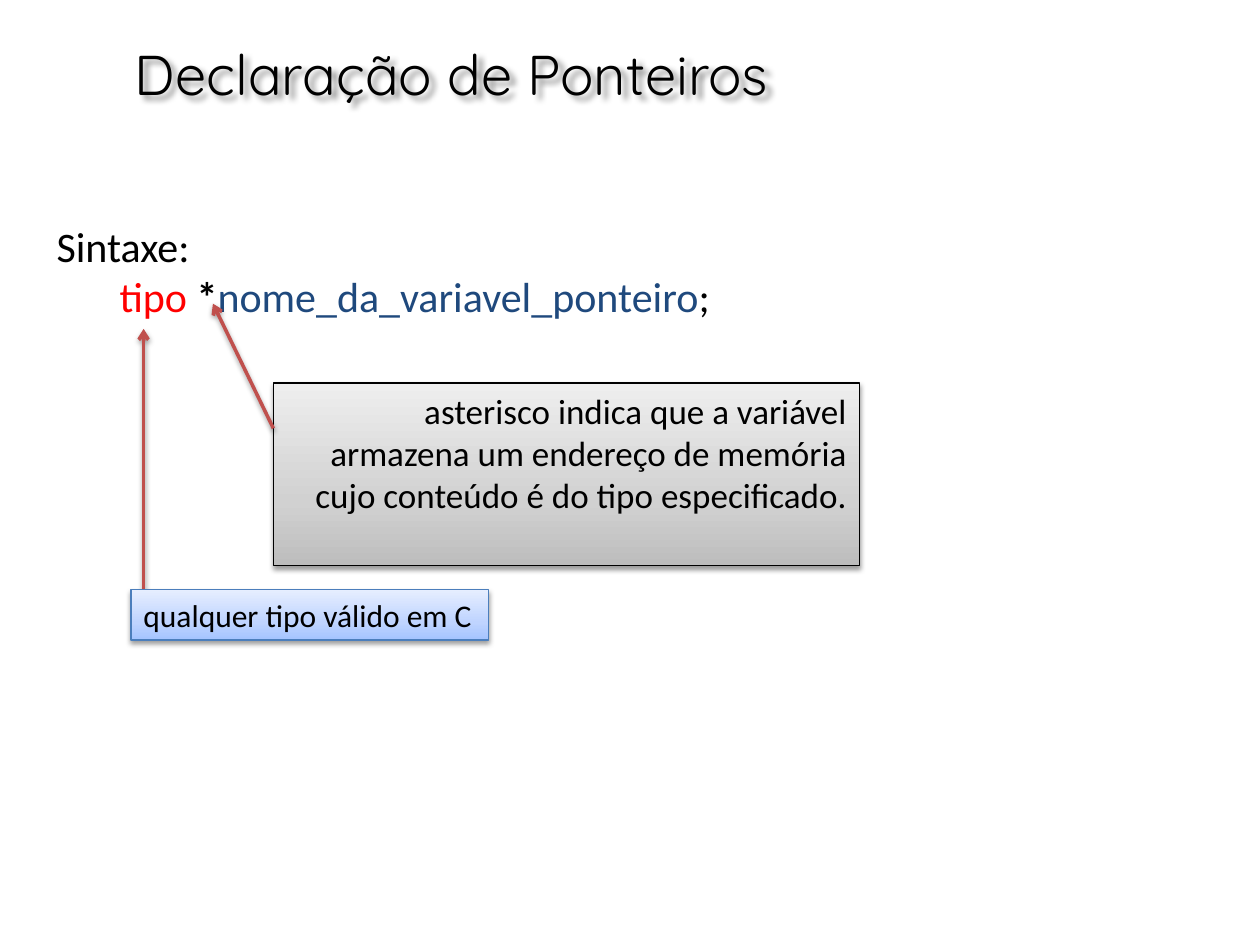
from lxml import etree
from pptx import Presentation
from pptx.dml.color import RGBColor
from pptx.enum.shapes import MSO_CONNECTOR, MSO_SHAPE
from pptx.enum.text import MSO_ANCHOR, PP_ALIGN
from pptx.oxml.ns import qn
from pptx.util import Inches, Pt

RECT = MSO_SHAPE.RECTANGLE
STRAIGHT = MSO_CONNECTOR.STRAIGHT
TOP, MIDDLE = MSO_ANCHOR.TOP, MSO_ANCHOR.MIDDLE
LEFT, CENTER, RIGHT = PP_ALIGN.LEFT, PP_ALIGN.CENTER, PP_ALIGN.RIGHT
COLORS = {"black": "000000", "type": "FF0000", "name": "1F497D",
          "arrow": "C0504D", "blue_line": "4B7EBC"}
GRAY = ((0, "BDBDBD"), (35, "D1D1D1"), (100, "EEEEEE"))
BLUE = ((0, "A4C4FF"), (35, "BFD4FF"), (100, "E6EEFF"))
SOFT = {"blur": 3.1, "dist": 1.6, "angle": 90, "alpha": 38}
TITLE_SHADOW = {"blur": 3, "dist": 3, "angle": 45, "alpha": 43}


class Slide:
    """Draws styled elements on a 100 by 75 grid of the current slide."""

    def __init__(self, prs):
        self.s = prs.slides.add_slide(prs.slide_layouts[6])
        self.unit = prs.slide_width / 100

    def grid(self, *cells):
        return [round(c * self.unit) for c in cells]

    def sub(self, parent, tag, **attrs):
        return etree.SubElement(parent, qn(tag), {k: str(v) for k, v in attrs.items()})

    def shadow(self, sp, blur, dist, angle, alpha):
        effects = self.sub(sp._element.spPr, "a:effectLst")
        outer = self.sub(effects, "a:outerShdw", blurRad=Pt(blur), dist=Pt(dist),
                         dir=angle * 60000, algn="ctr", rotWithShape=0)
        color = self.sub(outer, "a:srgbClr", val=COLORS["black"])
        self.sub(color, "a:alpha", val=alpha * 1000)

    def line(self, sp, color, width):
        sp.line.color.rgb = RGBColor.from_string(COLORS[color])
        sp.line.width = Pt(width)

    def fill_text(self, sp, paragraphs, size, font="Calibri", align=LEFT, anchor=TOP, wrap=True):
        tf = sp.text_frame
        for name, value in {"word_wrap": wrap, "vertical_anchor": anchor}.items():
            setattr(tf, name, value)
        for i, (indent, runs) in enumerate(paragraphs):
            p = tf.add_paragraph() if i else tf.paragraphs[0]
            p.alignment = align
            if indent:
                pPr = p._p.get_or_add_pPr()
                pPr.set("lvl", "1")
                pPr.set("marL", str(Inches(indent)))
                pPr.set("indent", "0")
            for text, color, bold in runs:
                r = p.add_run()
                r.text = text
                for name, value in {"size": Pt(size), "name": font, "bold": bold}.items():
                    setattr(r.font, name, value)
                r.font.color.rgb = RGBColor.from_string(COLORS[color])

    def text(self, at, paragraphs, size, **style):
        sp = self.s.shapes.add_textbox(*self.grid(*at))
        self.fill_text(sp, paragraphs, size, **style)
        return sp

    def box(self, at, stops, line, paragraphs, size, **style):
        sp = self.s.shapes.add_shape(RECT, *self.grid(*at))
        sp.fill.gradient()
        sp.fill.gradient_angle = 90
        stop_list = sp._element.spPr.find(".//" + qn("a:gsLst"))
        for stop in list(stop_list):
            stop_list.remove(stop)
        for pos, color in stops:
            stop = self.sub(stop_list, "a:gs", pos=pos * 1000)
            self.sub(stop, "a:srgbClr", val=color)
        self.line(sp, line, 0.75)
        self.shadow(sp, **SOFT)
        self.fill_text(sp, paragraphs, size, **style)

    def arrow(self, start, end):
        sp = self.s.shapes.add_connector(STRAIGHT, *self.grid(*start, *end))
        self.line(sp, "arrow", 2)
        self.sub(sp._element.spPr.find(qn("a:ln")), "a:tailEnd", type="arrow")
        self.shadow(sp, **SOFT)


def main():
    prs = Presentation()
    prs.slide_width, prs.slide_height = Inches(10), Inches(7.5)
    s = Slide(prs)

    title = s.text((0, 1.6, 71.7, 8.4), [(0, [("Declaração de Ponteiros", "black", False)])],
                   32, font="Quicksand", align=CENTER, anchor=MIDDLE)
    s.shadow(title, **TITLE_SHADOW)

    s.text((3.5, 17, 66.9, 9.1), [
        (0, [("Sintaxe:", "black", False)]),
        (0.5, [("tipo ", "type", False), ("*", "black", True),
               ("nome_da_variavel_ponteiro", "name", False), (";", "black", False)]),
    ], 24)

    note = ("asterisco indica que a variável", "armazena um endereço de memória",
            "cujo conteúdo é do tipo especificado.")
    s.box((21.7, 30.4, 46.5, 14.5), GRAY, "black",
          [(0.5 if i == 0 else 0, [(t, "black", False)]) for i, t in enumerate(note)],
          20, align=RIGHT)

    s.arrow((21.7, 34), (16.9, 24.1))
    s.arrow((11.4, 46.8), (11.4, 26.1))
    s.box((10.4, 46.8, 28.4, 4), BLUE, "blue_line",
          [(0, [("qualquer tipo válido em C", "black", False)])], 18, wrap=False)

    prs.save("out.pptx")


if __name__ == "__main__":
    main()
